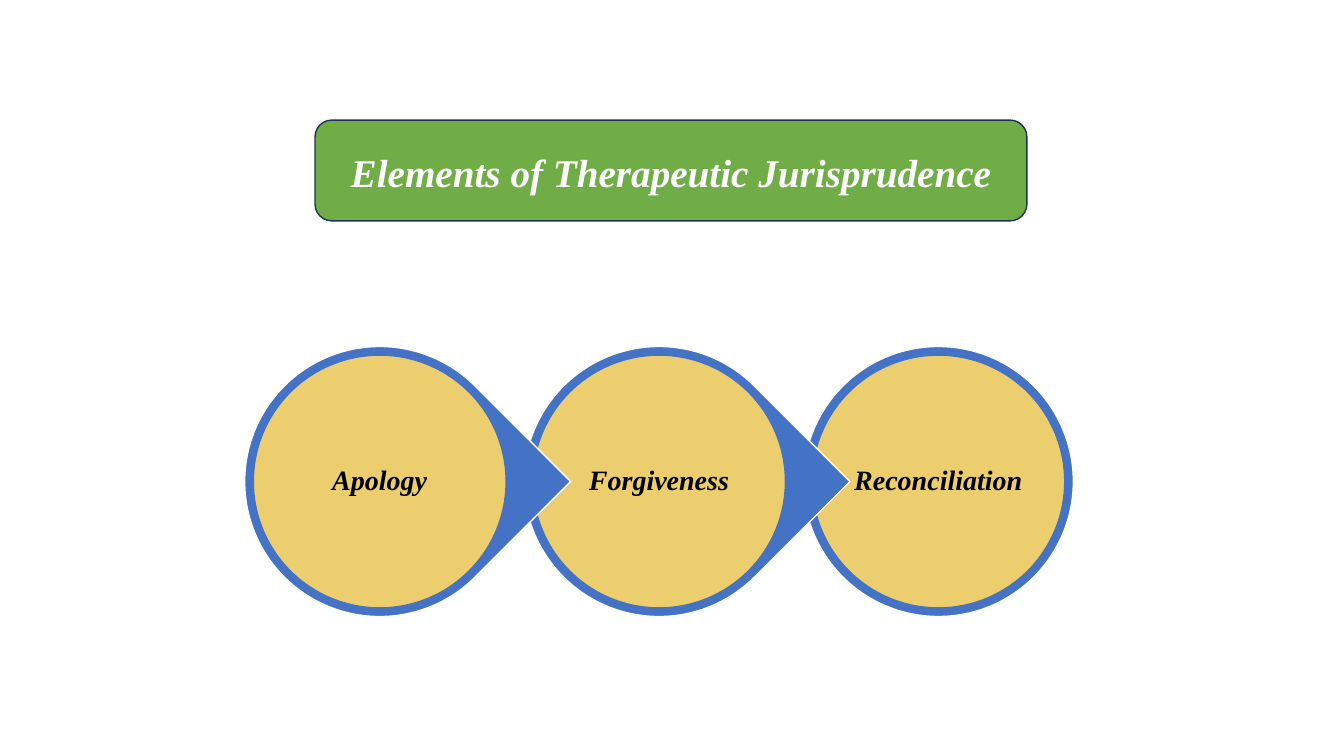
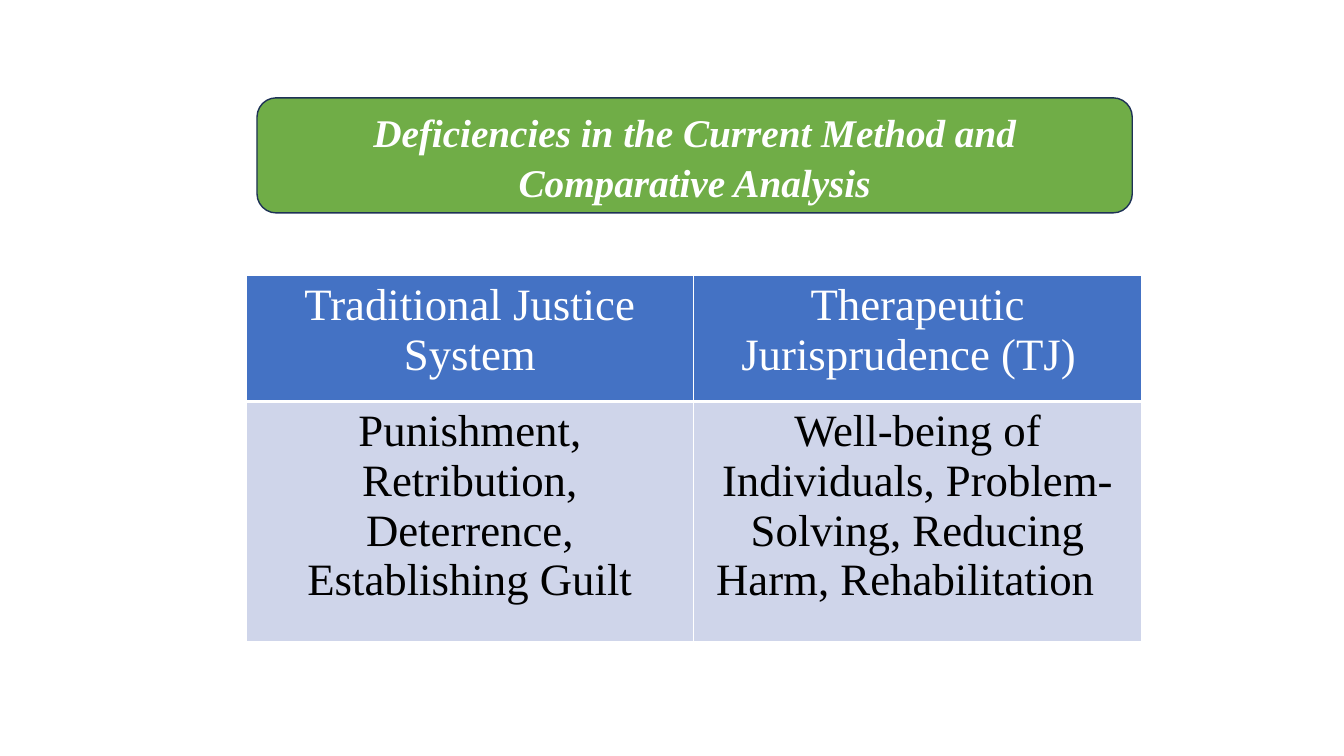
from lxml import etree
from pptx import Presentation
from pptx import util as u
from pptx.dml.color import RGBColor
from pptx.enum import shapes, text
from pptx.oxml.ns import qn

GREEN = RGBColor(0x70, 0xAD, 0x47)
NAVY = RGBColor(0x1E, 0x32, 0x56)
BLUE = RGBColor(0x44, 0x72, 0xC4)
GOLD = RGBColor(0xFF, 0xD9, 0x66)
PALE = RGBColor(0xCF, 0xD5, 0xEA)
WHITE = RGBColor(0xFF, 0xFF, 0xFF)
BLACK = RGBColor(0x00, 0x00, 0x00)

FORM = shapes.MSO_SHAPE
TITLE = {"size": u.Pt(28), "bold": True, "italic": True}
LABEL = {"size": u.Pt(20), "bold": True, "italic": True}
BODY = {"size": u.Pt(32)}

deck = Presentation()
deck.slide_width = u.Inches(40 / 3)
deck.slide_height = u.Inches(7.5)
UNIT = deck.slide_width / 160


def draw(slide, form, area, fill, edge):
    shape = slide.shapes.add_shape(form, *[round(n * UNIT) for n in area])
    shape.shadow.inherit = False
    shape.fill.solid()
    shape.fill.fore_color.rgb = fill
    shape.line.color.rgb = edge
    shape.line.width = u.Pt(1)
    return shape


def write(frame, words, style, color, space=1.0, after=0):
    frame.word_wrap = True
    para = frame.paragraphs[0]
    para.alignment = text.PP_ALIGN.CENTER
    para.line_spacing = space
    para.space_after = u.Pt(after)
    run = para.add_run()
    run.text = words
    for key, value in {"name": "Times New Roman", **style}.items():
        setattr(run.font, key, value)
    run.font.color.rgb = color


titles = [
    ("Elements of Therapeutic Jurisprudence", (37.5, 14.3, 84.75, 12)),
    ("Deficiencies in the Current Method and Comparative Analysis",
     (30.6, 11.65, 104.2, 13.7)),
]
slides = []
for words, area in titles:
    slide = deck.slides.add_slide(deck.slide_layouts[6])
    band = draw(slide, FORM.ROUNDED_RECTANGLE, area, GREEN, NAVY)
    band.text_frame.vertical_anchor = text.MSO_ANCHOR.MIDDLE
    write(band.text_frame, words, TITLE, WHITE, 1.07, 8)
    slides.append(slide)

chain, versus = slides

steps = ["Apology", "Forgiveness", "Reconciliation"]
LEFT, TOP, PITCH = 29.13, 41.25, 33.25
OUTER, INNER, INSET = 32.15, 30.1, 5.3
rim = (OUTER - INNER) / 2
side = OUTER - 2 * INSET
for index, words in reversed(list(enumerate(steps))):
    left = LEFT + index * PITCH
    last = index == len(steps) - 1
    form = FORM.OVAL if last else FORM.TEAR
    ring = draw(chain, form, (left, TOP, OUTER, OUTER), BLUE, WHITE)
    ring.rotation = 0 if last else 45
    disc = draw(chain, FORM.OVAL, (left + rim, TOP + rim, INNER, INNER), GOLD, BLUE)
    tint = disc.fill._xPr.find(qn("a:solidFill"))[0]
    etree.SubElement(tint, qn("a:alpha"), val="90000")
    area = (left + INSET, TOP + INSET, side, side)
    box = chain.shapes.add_textbox(*[round(n * UNIT) for n in area])
    frame = box.text_frame
    frame.vertical_anchor = text.MSO_ANCHOR.MIDDLE
    for edge in ("left", "right", "top", "bottom"):
        setattr(frame, "margin_" + edge, u.Inches(0.03))
    write(frame, words, LABEL, BLACK, 0.9)

rows = [
    ("Traditional Justice System", "Therapeutic Jurisprudence (TJ) \t"),
    ("Punishment, Retribution, Deterrence, Establishing Guilt",
     "Well-being of Individuals, Problem-Solving, Reducing Harm, Rehabilitation \t"),
]
looks = [
    (15, BLUE, WHITE, {"L": 1, "R": 1, "T": 1, "B": 3}),
    (28.6, PALE, BLACK, {"L": 1, "R": 1, "T": 3, "B": 1}),
]
area = (29.3, 32.8, 106.6, 43.6)
grid = versus.shapes.add_table(2, 2, *[round(n * UNIT) for n in area]).table
for r, (height, fill, ink, sides) in enumerate(looks):
    grid.rows[r].height = round(height * UNIT)
    for c, words in enumerate(rows[r]):
        cell = grid.cell(r, c)
        cell.fill.solid()
        cell.fill.fore_color.rgb = fill
        write(cell.text_frame, words, BODY, ink)
        props = cell._tc.get_or_add_tcPr()
        for spot, (edge, width) in enumerate(sides.items()):
            line = etree.Element(qn("a:ln" + edge), w=str(u.Pt(width)))
            paint = etree.SubElement(line, qn("a:solidFill"))
            etree.SubElement(paint, qn("a:srgbClr"), val=str(WHITE))
            props.insert(spot, line)

deck.save("out.pptx")
